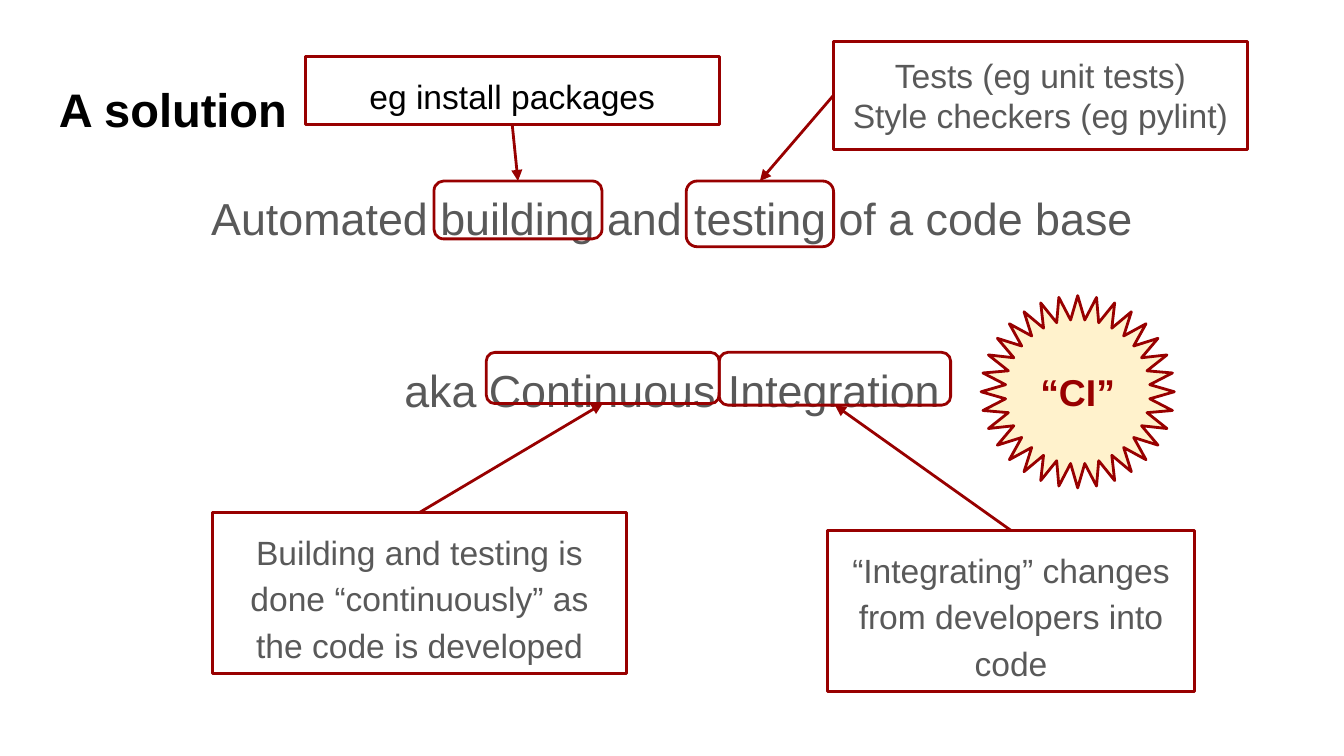
from dataclasses import dataclass
from lxml.etree import SubElement
from pptx import Presentation
from pptx.dml.color import RGBColor
from pptx.enum.shapes import MSO_CONNECTOR, MSO_SHAPE
from pptx.enum.text import MSO_ANCHOR, PP_ALIGN
from pptx.oxml.ns import qn
from pptx.util import Pt


@dataclass(frozen=True)
class Theme:
    font: str = "Arial"
    black: str = "000000"
    gray: str = "595959"
    red: str = "980000"
    cream: str = "FFF2CC"
    title: float = 25.2
    body: float = 24
    badge: float = 20
    note: float = 18
    line: float = 1.5
    inset: float = 7.2
    spacing: float = 1.15
    corner: float = 0.167


THEME = Theme()
TOP, LEFT, BOTTOM = 0, 1, 2

TITLE = ("A solution", (24.5, 35.3, 671, 45.4))
STATEMENT = (
    ["Automated building and testing of a code base", "aka Continuous Integration"],
    (24.5, 90.7, 671, 269.3),
)
BADGE = ("“CI”", (525.6, 158.4, 103.5, 103))
CALLOUTS = [
    dict(lines=["Building and testing is done “continuously” as the code is developed"],
         note=(113.8, 274.6, 221.8, 86.3), word=(260.5, 188.8, 124.8, 27.4),
         sides=(TOP, BOTTOM), color=THEME.gray, spacing=THEME.spacing),
    dict(lines=["“Integrating” changes from developers into code"],
         note=(443.2, 284.2, 196.8, 86.3), word=(385.3, 188.8, 124, 28.3),
         sides=(TOP, BOTTOM), color=THEME.gray, spacing=THEME.spacing),
    dict(lines=["eg install packages"],
         note=(163.5, 30.3, 221.8, 36.4), word=(232.5, 97, 90, 31),
         sides=(BOTTOM, TOP), color=THEME.black, spacing=THEME.spacing),
    dict(lines=["Tests (eg unit tests)", "Style checkers (eg pylint)"],
         note=(446.4, 22.2, 222, 58), word=(367.6, 97, 79, 35.2),
         sides=(LEFT, TOP), color=THEME.gray, spacing=1),
]


def write(box, lines, *, size, color, bold=False, align=PP_ALIGN.CENTER,
          anchor=MSO_ANCHOR.TOP, spacing=1, gap=0):
    frame = box.text_frame
    frame.word_wrap = True
    frame.vertical_anchor = anchor
    frame.margin_left = frame.margin_right = Pt(THEME.inset)
    frame.margin_top = frame.margin_bottom = Pt(THEME.inset)
    for index, line in enumerate(lines):
        para = frame.paragraphs[0] if index == 0 else frame.add_paragraph()
        para.alignment = align
        para.line_spacing = spacing
        para.space_before = Pt(gap if index else 0)
        span = para.add_run()
        span.text = line
        span.font.name = THEME.font
        span.font.size = Pt(size)
        span.font.bold = bold
        span.font.color.rgb = RGBColor.from_string(color)


def add_text(page, lines, place, **style):
    box = page.shapes.add_textbox(*map(Pt, place))
    write(box, lines, **style)


def outline(line):
    line.color.rgb = RGBColor.from_string(THEME.red)
    line.width = Pt(THEME.line)


def add_outlined(page, kind, place, fill=None, adjust=None):
    shape = page.shapes.add_shape(kind, *map(Pt, place))
    shape.shadow.inherit = False
    outline(shape.line)
    if fill:
        shape.fill.solid()
        shape.fill.fore_color.rgb = RGBColor.from_string(fill)
    else:
        shape.fill.background()
    if adjust is not None:
        shape.adjustments[0] = adjust
    return shape


def add_arrow(page, start, end, sides):
    arrow = page.shapes.add_connector(MSO_CONNECTOR.STRAIGHT, 0, 0, 0, 0)
    arrow.begin_connect(start, sides[0])
    arrow.end_connect(end, sides[1])
    outline(arrow.line)
    SubElement(arrow.line._get_or_add_ln(), qn("a:tailEnd"), type="triangle")
    SubElement(arrow._element.spPr, qn("a:effectLst"))


def add_callout(page, lines, note, word, sides, color, spacing):
    box = add_outlined(page, MSO_SHAPE.RECTANGLE, note)
    write(box, lines, size=THEME.note, color=color, spacing=spacing)
    ring = add_outlined(page, MSO_SHAPE.ROUNDED_RECTANGLE, word, adjust=THEME.corner)
    add_arrow(page, box, ring, sides)


def main():
    deck = Presentation()
    deck.slide_width, deck.slide_height = Pt(720), Pt(405)
    page = deck.slides.add_slide(deck.slide_layouts[6])

    title, place = TITLE
    add_text(page, [title], place, size=THEME.title, color=THEME.black, bold=True,
             align=PP_ALIGN.LEFT, anchor=MSO_ANCHOR.BOTTOM)
    lines, place = STATEMENT
    add_text(page, lines, place, size=THEME.body, color=THEME.gray,
             spacing=THEME.spacing, gap=59)

    for callout in CALLOUTS:
        add_callout(page, **callout)

    label, place = BADGE
    badge = add_outlined(page, MSO_SHAPE.STAR_32_POINT, place, THEME.cream, 0.375)
    write(badge, [label], size=THEME.badge, color=THEME.red, bold=True,
          anchor=MSO_ANCHOR.MIDDLE)

    deck.save("out.pptx")


if __name__ == "__main__":
    main()
